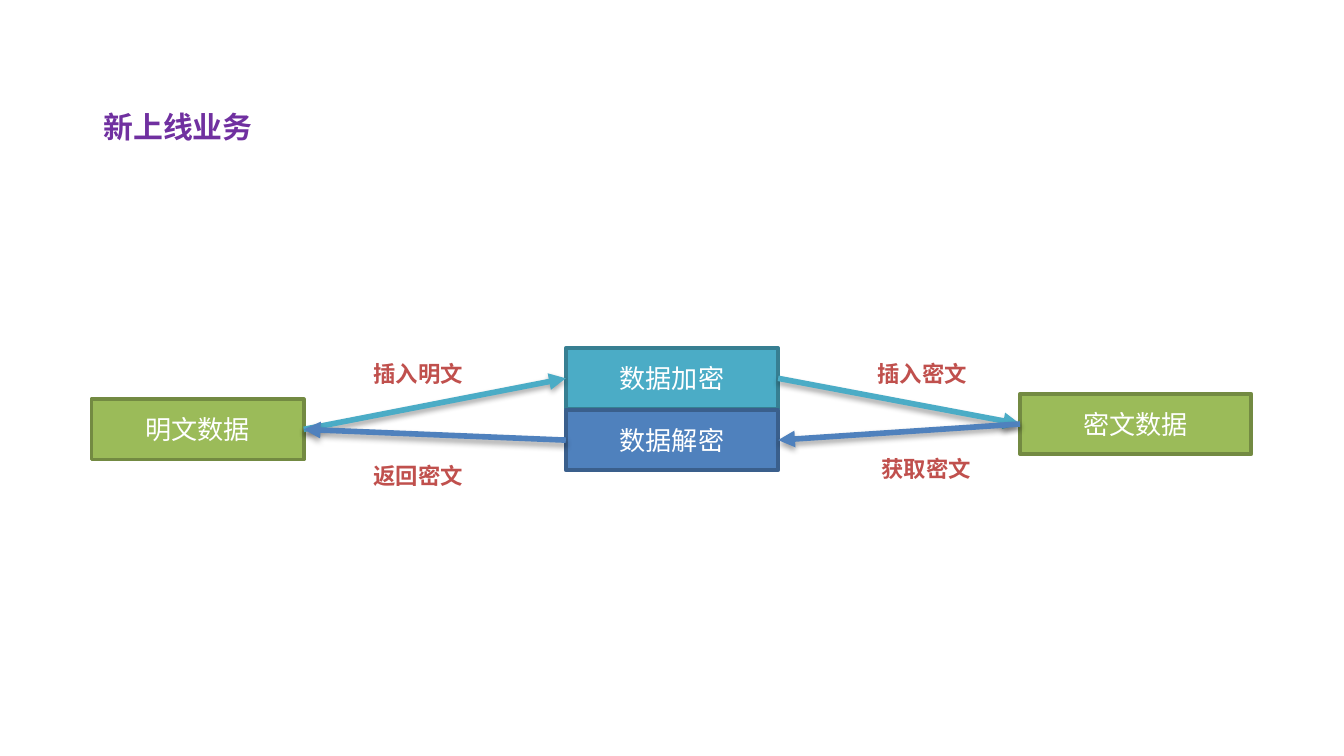
import pptx
import pptx.dml.color
import pptx.enum.shapes
import pptx.enum.text
import pptx.oxml
import pptx.oxml.ns
import pptx.util
from pptx.util import Inches

CJK_FONT = "Noto Sans CJK SC"
LATIN_FONT = "League Spartan"
LEFT_SITE, RIGHT_SITE = 1, 3  # connection sites of a rectangle
BOX_HEIGHT = 0.45

SHADOW = (
    f'<a:effectLst {pptx.oxml.ns.nsdecls("a")}>'
    '<a:outerShdw blurRad="39370" dist="22860" dir="5400000" rotWithShape="0">'
    '<a:srgbClr val="000000"><a:alpha val="35000"/></a:srgbClr>'
    '</a:outerShdw></a:effectLst>'
)


def color(value):
    return pptx.dml.color.RGBColor.from_string(value)


def write(frame, text, *, size, fill, font=CJK_FONT, bold=False,
          align="LEFT", anchor="TOP", wrap=False):
    """Put one formatted line of text into a text frame."""
    frame.word_wrap = wrap
    frame.auto_size = pptx.enum.text.MSO_AUTO_SIZE.NONE
    frame.vertical_anchor = pptx.enum.text.MSO_ANCHOR[anchor]
    paragraph = frame.paragraphs[0]
    paragraph.alignment = pptx.enum.text.PP_ALIGN[align]
    run = paragraph.add_run()
    run.text = text
    run.font.size = pptx.util.Pt(size)
    run.font.bold = bold
    run.font.color.rgb = color(fill)
    run.font.name = font
    east_asian = pptx.oxml.parse_xml(
        f'<a:ea {pptx.oxml.ns.nsdecls("a")} typeface="{CJK_FONT}"/>')
    run.font._element.find(pptx.oxml.ns.qn("a:latin")).addnext(east_asian)


def add_heading(slide, left, top, width, height):
    title = slide.shapes.title
    title.left, title.top = Inches(left), Inches(top)
    title.width, title.height = Inches(width), Inches(height)
    write(title.text_frame, "新上线业务", size=16, fill="7030A0", bold=True)


def add_data_box(slide, text, left, top, width, fill, border):
    box = slide.shapes.add_shape(
        pptx.enum.shapes.MSO_SHAPE.RECTANGLE,
        Inches(left), Inches(top), Inches(width), Inches(BOX_HEIGHT))
    box.shadow.inherit = False
    box.fill.solid()
    box.fill.fore_color.rgb = color(fill)
    box.line.color.rgb = color(border)
    box.line.width = pptx.util.Pt(2)
    write(box.text_frame, text, size=14, fill="FFFFFF", font=LATIN_FONT,
          align="CENTER", anchor="MIDDLE", wrap=True)
    return box


def add_arrow(slide, source, source_site, target, target_site, stroke):
    arrow = slide.shapes.add_connector(
        pptx.enum.shapes.MSO_CONNECTOR.STRAIGHT, 0, 0, 0, 0)
    arrow.begin_connect(source, source_site)
    arrow.end_connect(target, target_site)
    arrow.line.color.rgb = color(stroke)
    arrow.line.width = pptx.util.Pt(3)
    arrow.line._get_or_add_ln().append(pptx.oxml.parse_xml(
        f'<a:tailEnd {pptx.oxml.ns.nsdecls("a")} type="triangle"/>'))
    arrow._element.spPr.append(pptx.oxml.parse_xml(SHADOW))


def add_step_label(slide, text, left, top):
    label = slide.shapes.add_textbox(
        Inches(left), Inches(top), Inches(0.88), Inches(0.3))
    write(label.text_frame, text, size=12, fill="C0504D", bold=True)


def add_encryption_flow(slide, left, top):
    """Plaintext on the left, the cipher steps in the middle, ciphertext right."""
    teal, blue, green, olive = "4BACC6", "4F81BD", "9BBB59", "738A42"

    # Data and cipher boxes
    plaintext = add_data_box(
        slide, "明文数据", left, top + 0.38, 1.58, green, olive)
    ciphertext = add_data_box(
        slide, "密文数据", left + 6.91, top + 0.34, 1.72, green, olive)
    encrypt = add_data_box(
        slide, "数据加密", left + 3.53, top, 1.58, teal, "377F92")
    decrypt = add_data_box(
        slide, "数据解密", left + 3.53, top + 0.46, 1.58, blue, "3A5F8C")

    # Insert path to the right, query path back to the left
    add_arrow(slide, plaintext, RIGHT_SITE, encrypt, LEFT_SITE, teal)
    add_arrow(slide, encrypt, RIGHT_SITE, ciphertext, LEFT_SITE, teal)
    add_arrow(slide, decrypt, LEFT_SITE, plaintext, RIGHT_SITE, blue)
    add_arrow(slide, ciphertext, LEFT_SITE, decrypt, RIGHT_SITE, blue)

    # Step labels
    for text, dx, dy in [("插入明文", 2.0, 0.04), ("插入密文", 5.75, 0.04),
                         ("返回密文", 2.0, 0.8), ("获取密文", 5.78, 0.75)]:
        add_step_label(slide, text, left + dx, top + dy)


def main():
    deck = pptx.Presentation()
    deck.slide_width = Inches(10)
    deck.slide_height = deck.slide_width * 9 // 16
    slide = deck.slides.add_slide(deck.slide_layouts.get_by_name("Title Only"))
    add_heading(slide, 0.67, 0.76, 1.32, 0.37)
    add_encryption_flow(slide, 0.68, 2.59)
    deck.save("out.pptx")


if __name__ == "__main__":
    main()
